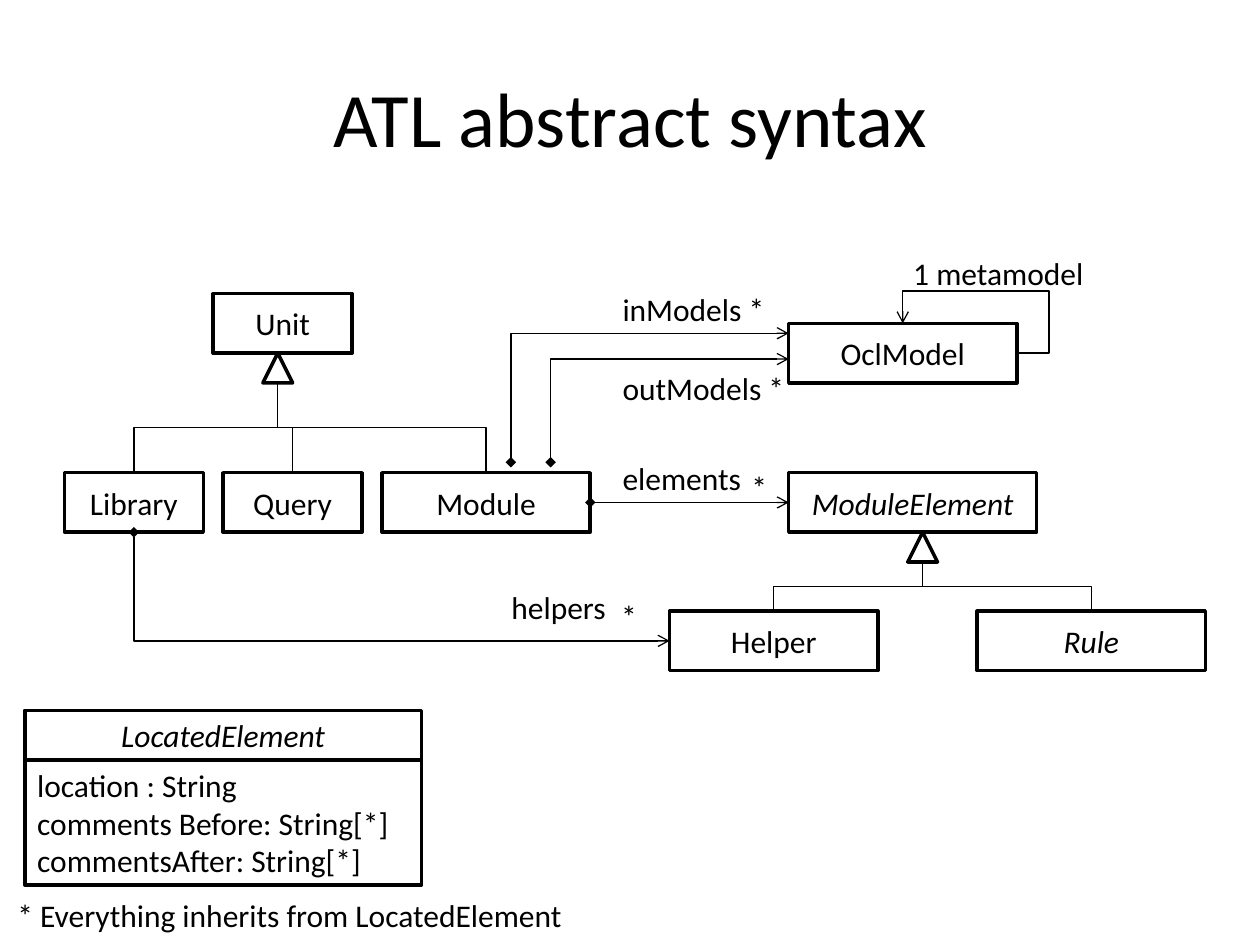
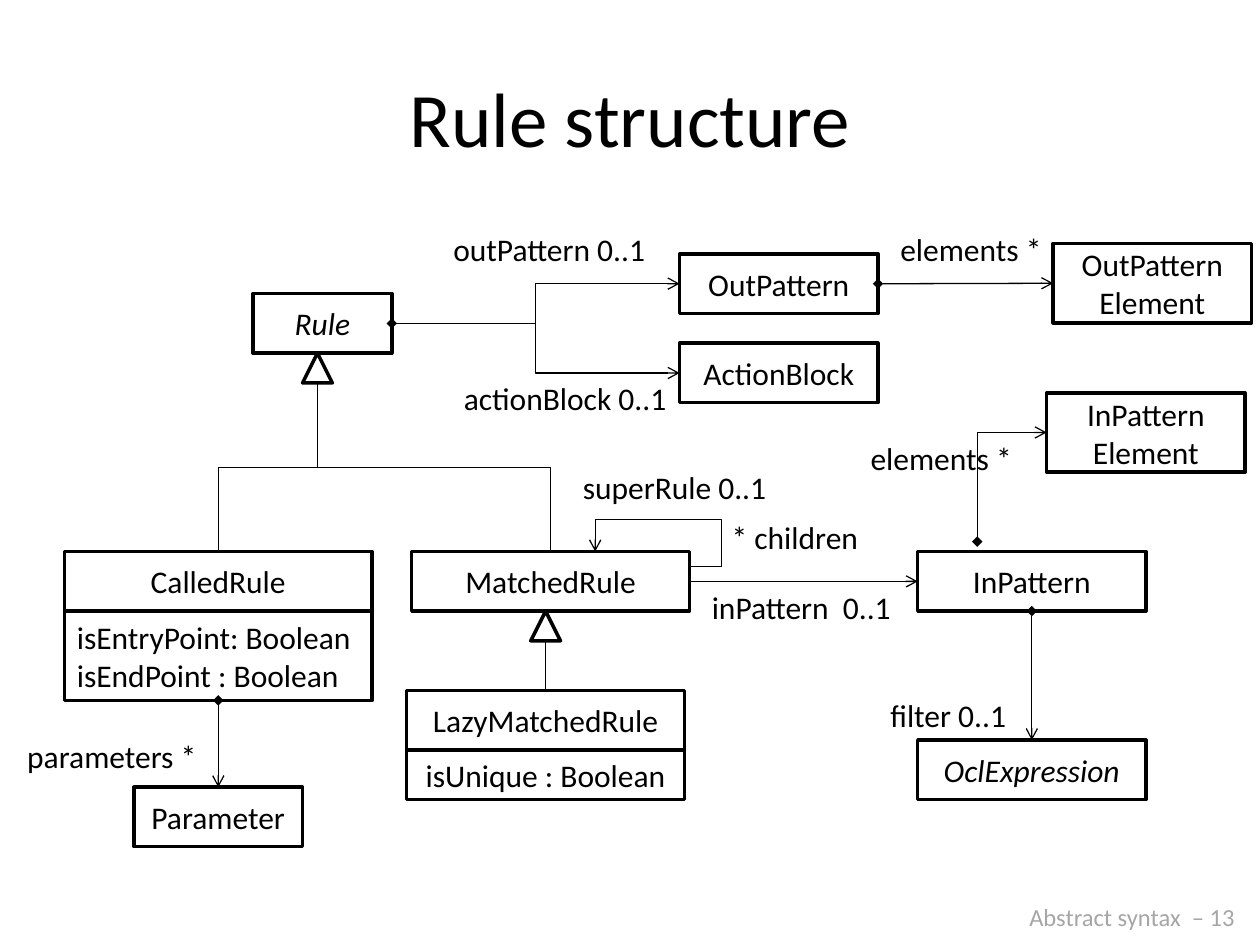
from dataclasses import dataclass

from pptx import Presentation
from pptx.dml.color import RGBColor
from pptx.enum.shapes import MSO_CONNECTOR as LINK, MSO_SHAPE as SHAPE
from pptx.enum.text import MSO_ANCHOR as ANCHOR, PP_ALIGN as ALIGN
from pptx.oxml.ns import qn
from pptx.oxml.xmlchemy import OxmlElement
from pptx.util import Cm, Pt

COLORS = {"ink": "000000", "paper": "FFFFFF", "footer": "A6A6A6"}
FONT = "Calibri"
ROW = 1.2        # height of a class name box, cm
TRIANGLE = 0.6   # size of an inheritance triangle, cm
REACH = 0.65     # how far a self-reference leaves its class, cm


def color(name):
    return RGBColor.from_string(COLORS[name])


@dataclass
class Box:
    """Area of a class, in cm, with the points where lines attach."""
    x: float
    y: float
    w: float
    h: float

    @property
    def top(self):
        return self.x + self.w / 2, self.y

    @property
    def bottom(self):
        return self.x + self.w / 2, self.y + self.h

    @property
    def left(self):
        return self.x, self.y + self.h / 2

    @property
    def right(self):
        return self.x + self.w, self.y + self.h / 2


class Diagram:
    """Draws UML class diagrams, one slide at a time."""

    def __init__(self):
        self.deck = Presentation()
        self.deck.slide_width, self.deck.slide_height = Cm(25.4), Cm(19.05)
        self.slide = None

    def new_slide(self, heading):
        self.slide = self.deck.slides.add_slide(self.deck.slide_layouts[5])
        title = self.slide.shapes.title
        title.left, title.top = Cm(1.27), Cm(0.76)
        title.width, title.height = Cm(22.86), Cm(3.18)
        title.text_frame.vertical_anchor = ANCHOR.MIDDLE
        self.set_text(title.text_frame, heading, size=44, align=ALIGN.CENTER)

    def set_text(self, frame, text, size=18, align=ALIGN.LEFT, italic=False, ink="ink"):
        frame.text = text
        for paragraph in frame.paragraphs:
            paragraph.alignment = align
            font = paragraph.font
            font.name, font.size, font.italic = FONT, Pt(size), italic
            font.color.rgb = color(ink)

    def outline(self, preset, box):
        shape = self.slide.shapes.add_shape(
            preset, Cm(box.x), Cm(box.y), Cm(box.w), Cm(box.h))
        shape.shadow.inherit = False
        shape.fill.solid()
        shape.fill.fore_color.rgb = color("paper")
        shape.line.color.rgb = color("ink")
        shape.line.width = Pt(2)
        return shape

    def node(self, text, x, y, w, h=ROW, align=ALIGN.CENTER, abstract=False):
        box = Box(x, y, w, h)
        shape = self.outline(SHAPE.RECTANGLE, box)
        shape.text_frame.vertical_anchor = ANCHOR.MIDDLE
        self.set_text(shape.text_frame, text, align=align, italic=abstract)
        return box

    def attributes(self, owner, text, h, align=ALIGN.LEFT):
        return self.node(text, owner.x, owner.y + owner.h, owner.w, h, align)

    def label(self, text, x, y, w, h=1.02, **style):
        frame = self.slide.shapes.add_textbox(Cm(x), Cm(y), Cm(w), Cm(h)).text_frame
        frame.word_wrap = False
        self.set_text(frame, text, **style)

    def line(self, start, end, head=None, tail=None, kind=LINK.STRAIGHT):
        link = self.slide.shapes.add_connector(kind, *map(Cm, start + end))
        link.line.color.rgb = color("ink")
        link.line.width = Pt(0.75)
        properties = link._element.spPr
        for tag, style in (("a:headEnd", head), ("a:tailEnd", tail)):
            if style:
                tip = OxmlElement(tag)
                tip.set("type", style)
                properties.find(qn("a:ln")).append(tip)
        properties.append(OxmlElement("a:effectLst"))
        return link

    def reference(self, start, end, head="diamond"):
        self.line(start, end, head, "arrow")

    def elbow(self, start, end, head=None, tail="arrow"):
        """Leaves and arrives horizontally, with the turn halfway."""
        self.line(start, end, head, tail, LINK.ELBOW)

    def rising_elbow(self, start, end, head=None, tail=None, preset="bentConnector3"):
        """Leaves vertically: the elbow is laid flat and turned a quarter."""
        link = self.line(start, end, head, tail, LINK.ELBOW)
        dx, dy = end[0] - start[0], end[1] - start[1]
        w, h = abs(dy), abs(dx)
        link.left = Cm((start[0] + end[0] - w) / 2)
        link.top = Cm((start[1] + end[1] - h) / 2)
        link.width, link.height = Cm(w), Cm(h)
        properties = link._element.spPr
        frame = properties.find(qn("a:xfrm"))
        frame.set("rot", str((90 if dx * dy < 0 else 270) * 60000))
        frame.set("flipH", str(int(dx > 0)))
        frame.set("flipV", str(int(dy < 0)))
        properties.find(qn("a:prstGeom")).set("prst", preset)

    def corner(self, start, end):
        """One turn: vertical from the diamond, then horizontal."""
        self.rising_elbow(start, end, "diamond", "arrow", "bentConnector2")

    def loop(self, start, end):
        """Self-reference from the right side round to the top."""
        link = self.line(start, end, tail="arrow", kind=LINK.ELBOW)
        geometry = link._element.spPr.find(qn("a:prstGeom"))
        geometry.set("prst", "bentConnector4")
        guides = geometry.find(qn("a:avLst"))
        if guides is None:
            guides = OxmlElement("a:avLst")
            geometry.append(guides)
        turns = (-REACH / (start[0] - end[0]), 1 + REACH / (start[1] - end[1]))
        for number, turn in enumerate(turns, 1):
            guide = OxmlElement("a:gd")
            guide.set("name", f"adj{number}")
            guide.set("fmla", f"val {round(turn * 100000)}")
            guides.append(guide)

    def inherit(self, parent, center, children):
        """Triangle under the parent, joined to the top of each child."""
        triangle = Box(center - TRIANGLE / 2, parent.y + parent.h, TRIANGLE, TRIANGLE)
        self.outline(SHAPE.ISOSCELES_TRIANGLE, triangle)
        for child in children:
            if abs(child.top[0] - center) < 0.01:
                self.line(child.top, triangle.bottom)
            else:
                self.rising_elbow(child.top, triangle.bottom)


uml = Diagram()

# Slide 1: units, modules and their elements
uml.new_slide("ATL abstract syntax")
unit = uml.node("Unit", 4.3, 5.92, 2.8)
library = uml.node("Library", 1.3, 9.53, 2.8)
query = uml.node("Query", 4.5, 9.53, 2.8)
module = uml.node("Module", 7.7, 9.53, 4.2)
ocl_model = uml.node("OclModel", 15.9, 6.52, 4.6)
module_element = uml.node("ModuleElement", 15.9, 9.53, 5, abstract=True)
helper = uml.node("Helper", 13.5, 12.32, 4.2)
rule = uml.node("Rule", 19.7, 12.32, 4.6, abstract=True)
located = uml.node("LocatedElement", 0.5, 14.32, 8, 1, abstract=True)
uml.attributes(
    located,
    "location : String\ncomments Before: String[*]\ncommentsAfter: String[*]", 2.52)

uml.inherit(unit, 5.6, [library, query, module])
uml.inherit(module_element, 18.6, [helper, rule])
uml.reference(module.right, module_element.left)
uml.corner(library.bottom, helper.left)
uml.corner((10.3, 9.32), (ocl_model.x, 6.72))
uml.corner((11.1, 9.32), (ocl_model.x, 7.24))
uml.loop(ocl_model.right, (18.2, ocl_model.y))

for text, x, y, w in [
    ("inModels *", 12.3, 5.72, 3.4),
    ("outModels *", 12.3, 7.32, 3.81),
    ("1 metamodel", 18.16, 5, 3.99),
    ("elements", 12.3, 9.12, 2.92),
    ("*", 14.9, 9.32, 0.84),
    ("helpers", 10.06, 11.73, 2.44),
    ("*", 12.27, 11.91, 0.84),
    ("* Everything inherits from LocatedElement", 0.1, 17.93, 11.6),
]:
    uml.label(text, x, y, w)

# Slide 2: kinds of rules and their patterns
uml.new_slide("Rule structure")
rule = uml.node("Rule", 5.1, 5.92, 2.8, abstract=True)
called = uml.node("CalledRule", 1.3, 11.12, 6.2)
called_attributes = uml.attributes(
    called, "isEntryPoint: Boolean\nisEndPoint : Boolean", 1.8)
matched = uml.node("MatchedRule", 8.3, 11.12, 5.6)
lazy = uml.node("LazyMatchedRule", 8.2, 13.92, 5.6)
uml.attributes(lazy, "isUnique : Boolean", 1, ALIGN.CENTER)
parameter = uml.node("Parameter", 2.7, 15.87, 3.4)
out_pattern = uml.node("OutPattern", 13.7, 5.12, 4)
action_block = uml.node("ActionBlock", 13.7, 6.92, 4)
out_element = uml.node("OutPattern\nElement", 21.23, 4.91, 4, 1.6)
in_element = uml.node("InPattern\nElement", 21.1, 7.92, 4, 1.6)
in_pattern = uml.node("InPattern", 18.5, 11.12, 4.6)
ocl_expression = uml.node("OclExpression", 18.5, 14.92, 4.6, abstract=True)

uml.inherit(rule, 6.4, [called, matched])
uml.inherit(matched, 11, [lazy])
uml.elbow(rule.right, out_pattern.left)
uml.elbow(rule.right, action_block.left, "diamond")
uml.reference(out_pattern.right, out_element.left)
uml.reference(matched.right, in_pattern.left, head=None)
uml.reference(in_pattern.bottom, ocl_expression.top)
uml.reference(called_attributes.bottom, parameter.top)
uml.corner((19.7, 10.92), in_element.left)
uml.loop((matched.x + matched.w, 11.42), (12, matched.y))

for text, x, y, w in [
    ("outPattern 0..1", 8.89, 4.52, 4.42),
    ("actionBlock 0..1", 9.1, 7.52, 4.65),
    ("elements *", 17.9, 4.52, 3.4),
    ("elements *", 17.3, 8.73, 3.4),
    ("superRule 0..1", 11.5, 9.32, 4.24),
    ("* children", 14.5, 10.31, 3.1),
    ("inPattern  0..1", 14.1, 11.73, 4.17),
    ("filter 0..1", 17.7, 13.9, 2.87),
    ("parameters *", 0.3, 14.73, 3.96),
]:
    uml.label(text, x, y, w)
uml.label("Abstract syntax  – 13", 20.5, 18.06, 4.7, 0.86, size=14, ink="footer")

uml.deck.save("out.pptx")
